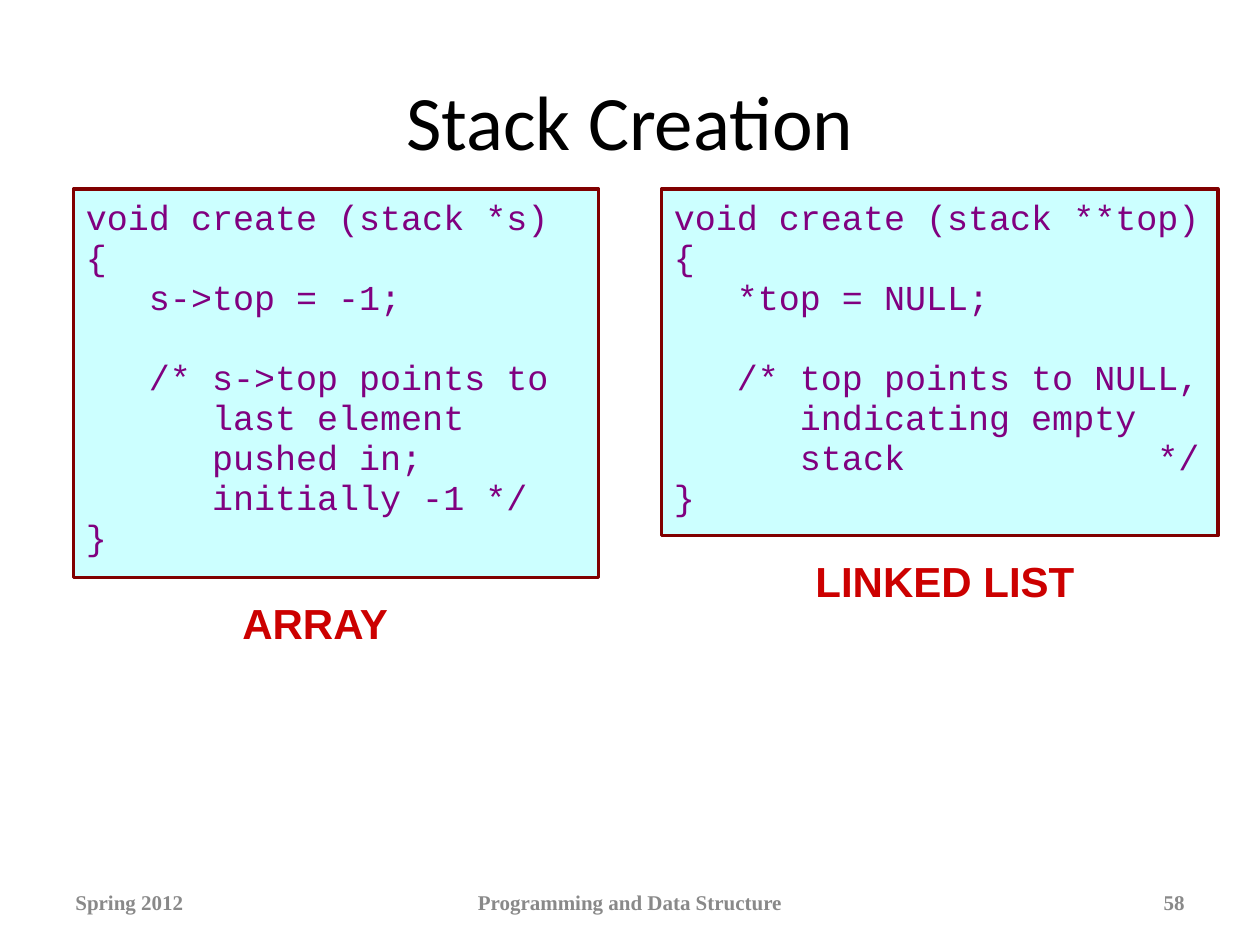
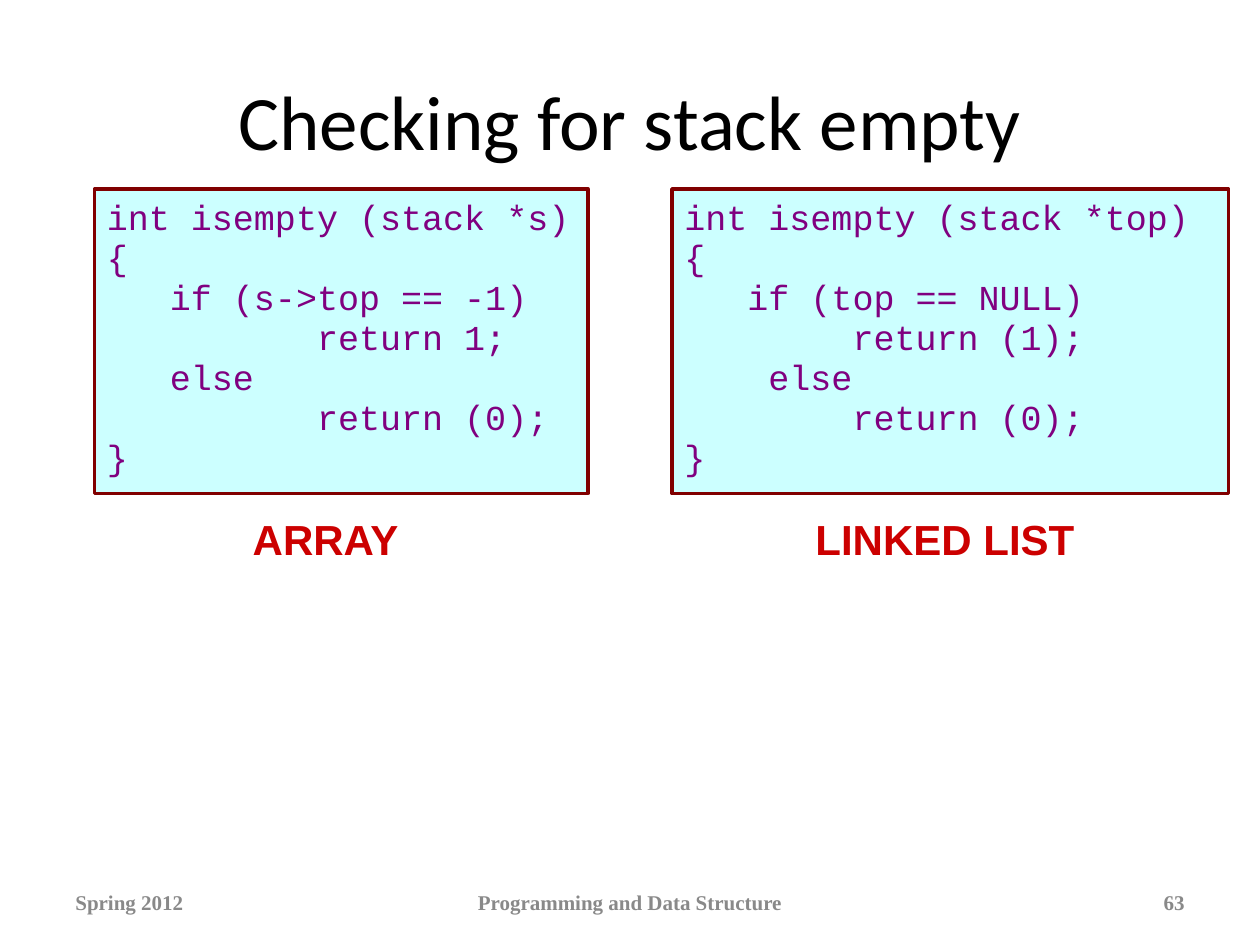
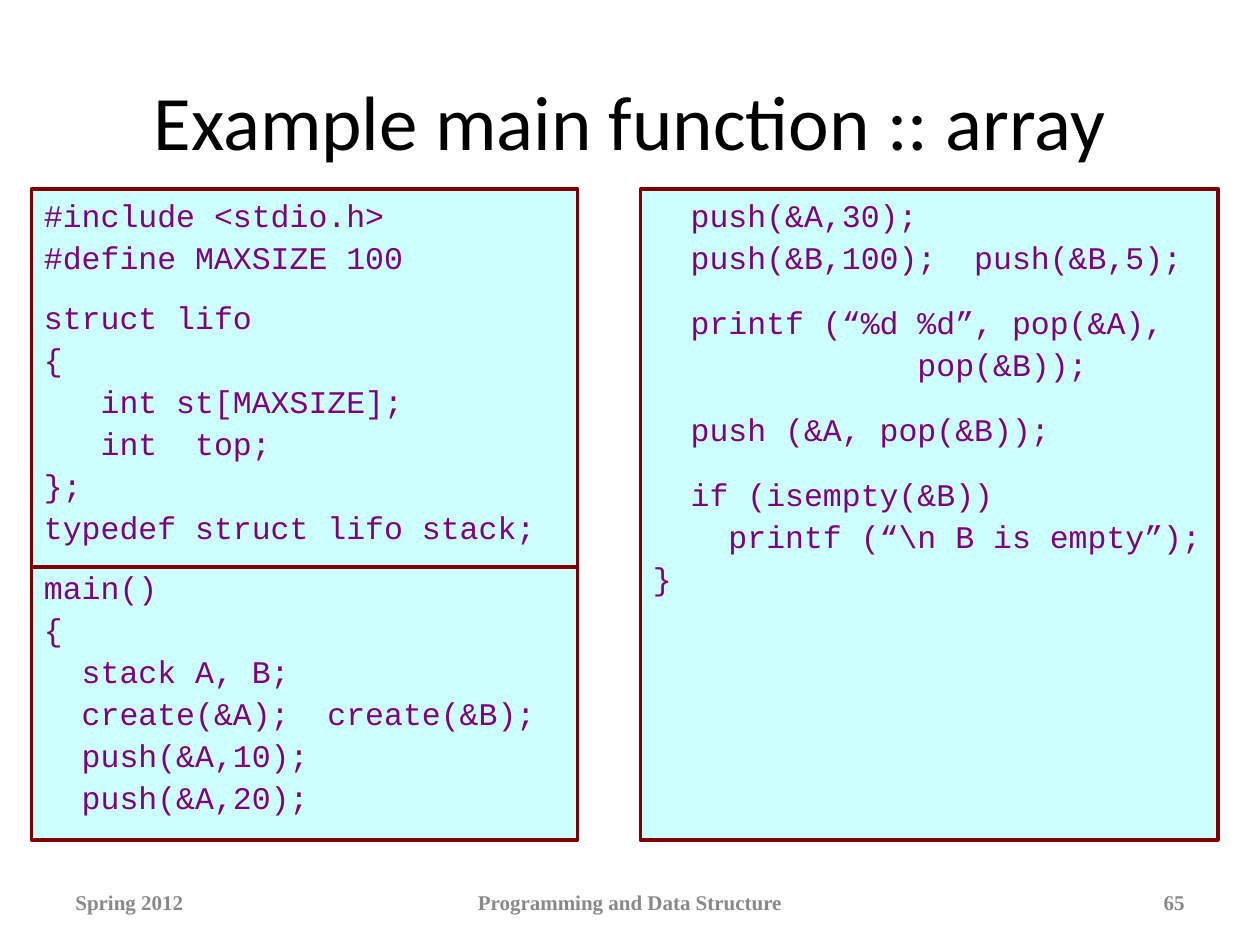
import pptx
import pptx.dml.color
import pptx.enum.shapes
import pptx.enum.text
import pptx.util
from lxml import etree

Pt = pptx.util.Pt
ALIGN = pptx.enum.text.PP_ALIGN
ANCHOR = pptx.enum.text.MSO_ANCHOR


def color(value):
    return pptx.dml.color.RGBColor.from_string(value)


class Deck:
    """Shared style and the slide being built."""

    BLACK, GRAY, RED = "000000", "898989", "CC0000"
    PURPLE, MAROON, CYAN = "800080", "800000", "CCFFFF"
    CODE_TOP = 108
    CODE_LINE_HEIGHT = 1.083  # multiple of the font size

    def __init__(self):
        self.presentation = pptx.Presentation()
        self.presentation.slide_width = Pt(720)
        self.presentation.slide_height = Pt(540)
        self.slide = None

    def new_slide(self, title, number):
        layout = self.presentation.slide_layouts[6]
        self.slide = self.presentation.slides.add_slide(layout)
        self.text(title, 36, 23.5, 648, 90, "Calibri", 44, self.BLACK, anchor=ANCHOR.MIDDLE)
        footers = [
            ("Spring 2012", 36, 168, ALIGN.LEFT),
            ("Programming and Data Structure", 246, 228, ALIGN.CENTER),
            (str(number), 516, 168, ALIGN.RIGHT),
        ]
        for words, left, width, align in footers:
            self.text(words, left, 501, width, 28.8, "Times New Roman", 12, self.GRAY,
                      bold=True, align=align, anchor=ANCHOR.MIDDLE)

    def run(self, paragraph, words, font, size, ink, bold=False):
        run = paragraph.add_run()
        run.text = words
        run.font.name = font
        run.font.size = Pt(size)
        run.font.bold = bold
        run.font.color.rgb = color(ink)

    def text(self, words, left, top, width, height, font, size, ink,
             bold=False, align=ALIGN.CENTER, anchor=ANCHOR.TOP):
        shape = self.slide.shapes.add_textbox(Pt(left), Pt(top), Pt(width), Pt(height))
        frame = shape.text_frame
        frame.word_wrap = True
        frame.vertical_anchor = anchor
        paragraph = frame.paragraphs[0]
        paragraph.alignment = align
        self.run(paragraph, words, font, size, ink, bold)

    def code(self, blocks, left, width, height, size=20, before=1.2, gap=24):
        """Code box; gap is the space before each block after the first."""
        shape = self.slide.shapes.add_shape(
            pptx.enum.shapes.MSO_SHAPE.RECTANGLE,
            Pt(left), Pt(self.CODE_TOP), Pt(width), Pt(height))
        shape.shadow.inherit = False
        shape.fill.solid()
        shape.fill.fore_color.rgb = color(self.CYAN)
        shape.line.color.rgb = color(self.MAROON)
        shape.line.width = Pt(2)
        frame = shape.text_frame
        frame.word_wrap = True
        frame.vertical_anchor = ANCHOR.TOP
        frame.margin_top = Pt(6)
        paragraph = None
        for block in blocks:
            for index, line in enumerate(block.split("\n")):
                if paragraph is None:
                    paragraph = frame.paragraphs[0]
                else:
                    paragraph = frame.add_paragraph()
                    paragraph.space_before = Pt(before if index else gap)
                paragraph.alignment = ALIGN.LEFT
                paragraph.line_spacing = Pt(size * self.CODE_LINE_HEIGHT)
                self.run(paragraph, line, "Courier New", size, self.PURPLE)

    def label(self, words, center, code_height, width):
        top = self.CODE_TOP + code_height + 8
        self.text(words, center - width / 2, top, width, 36, "Arial", 24, self.RED, bold=True)

    def array_label(self, center, code_height):
        self.label("ARRAY", center, code_height, 132)

    def list_label(self, code_height):
        self.label("LINKED LIST", 540, code_height, 228)

    def divider(self, left, top, width):
        line = self.slide.shapes.add_connector(
            pptx.enum.shapes.MSO_CONNECTOR.STRAIGHT,
            Pt(left), Pt(top), Pt(left + width), Pt(top))
        line.line.color.rgb = color(self.MAROON)
        line.line.width = Pt(2.5)
        etree.SubElement(line._element.spPr, pptx.oxml.ns.qn("a:effectLst"))


ARRAY_CREATE = ["""void create (stack *s)
{
   s->top = -1;""", """   /* s->top points to
      last element
      pushed in;
      initially -1 */
}"""]

LIST_CREATE = ["""void create (stack **top)
{
   *top = NULL;""", """   /* top points to NULL,
      indicating empty
      stack            */
}"""]

ARRAY_EMPTY = ["""int isempty (stack *s)
{
   if (s->top == -1)
          return 1;
   else
          return (0);
}"""]

LIST_EMPTY = ["""int isempty (stack *top)
{
   if (top == NULL)
        return (1);
    else
        return (0);
}"""]

MAIN_START = ["""#include <stdio.h>
#define MAXSIZE 100""", """struct lifo
{
   int st[MAXSIZE];
   int  top;
};
typedef struct lifo stack;""", """main()
{
  stack A, B;
  create(&A);  create(&B);
  push(&A,10);
  push(&A,20);"""]

MAIN_END = ["""  push(&A,30);
  push(&B,100);  push(&B,5);""", """  printf (“%d %d”, pop(&A),
              pop(&B));""", """  push (&A, pop(&B));""", """  if (isempty(&B))
    printf (“\\n B is empty”);
}"""]


def main():
    deck = Deck()

    # Stack creation
    deck.new_slide("Stack Creation", 58)
    deck.code(ARRAY_CREATE, 42, 300, 222)
    deck.code(LIST_CREATE, 378, 318, 198)
    deck.array_label(180, 222)
    deck.list_label(198)

    # Empty check
    deck.new_slide("Checking for stack empty", 63)
    deck.code(ARRAY_EMPTY, 54, 282, 174)
    deck.code(LIST_EMPTY, 384, 318, 174)
    deck.array_label(186, 174)
    deck.list_label(174)

    # Main function
    deck.new_slide("Example main function :: array", 65)
    deck.code(MAIN_START, 18, 312, 372, size=18, before=4.5, gap=14.8)
    deck.code(MAIN_END, 366, 330, 372, size=18, before=4.5, gap=17.6)
    deck.divider(18, 324, 312)

    deck.presentation.save("out.pptx")


if __name__ == "__main__":
    main()
